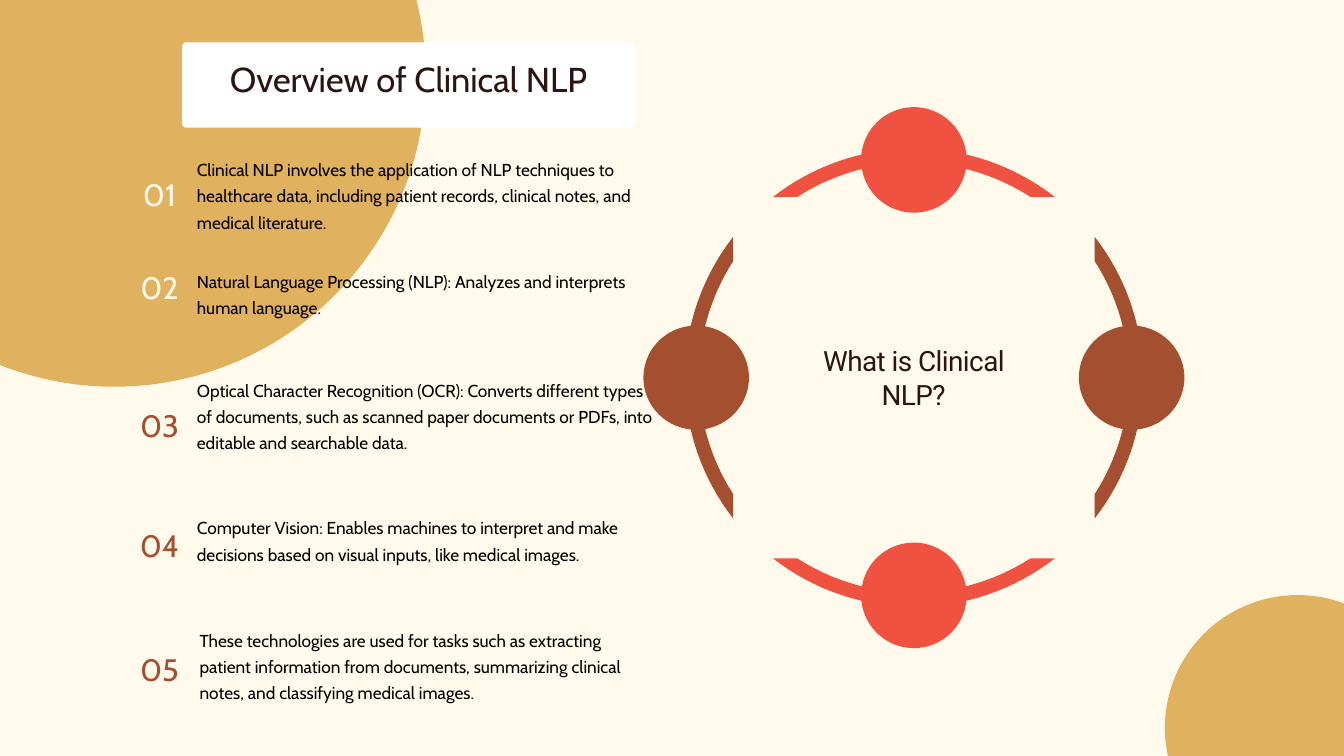
from math import acos, cos, pi, sin

from pptx import Presentation
from pptx.dml.color import RGBColor
from pptx.enum.shapes import MSO_SHAPE as SHAPE
from pptx.enum.text import MSO_ANCHOR as ANCHOR, PP_ALIGN as ALIGN
from pptx.util import Inches, Pt

CREAM, GOLD, RED, BROWN = "FFFAEB", "E0B15E", "EF5241", "A44F30"
WHITE, DARK, BLACK = "FFFFFF", "2B1511", "000000"

CX, CY = 13.6, 5.62
OUTER, INNER, CUT = 3.41, 3.2, 2.69
ORBIT = 3.24

ITEMS = [
    ("01", 2.46, CREAM, 2.93, 2.29, 1.12,
     "Clinical NLP involves the application of NLP techniques to healthcare data, "
     "including patient records, clinical notes, and medical literature."),
    ("02", 3.85, CREAM, 2.93, 3.95, 0.74,
     "Natural Language Processing (NLP): Analyzes and interprets human language."),
    ("03", 5.9, BROWN, 2.93, 5.57, 1.51,
     "Optical Character Recognition (OCR): Converts different types of documents, "
     "such as scanned paper documents or PDFs, into editable and searchable data."),
    ("04", 7.68, BROWN, 2.93, 7.62, 1.12,
     "Computer Vision: Enables machines to interpret and make decisions based on "
     "visual inputs, like medical images."),
    ("05", 9.53, BROWN, 2.97, 9.29, 1.51,
     "These technologies are used for tasks such as extracting patient information "
     "from documents, summarizing clinical notes, and classifying medical images."),
]


def color(value):
    return RGBColor.from_string(value)


def write(tf, text, size=18.5, font="Cabin", fill=BLACK, align=ALIGN.LEFT, line=28.1, spacing=0):
    p = tf.paragraphs[0]
    p.alignment = align
    p.line_spacing = Pt(line)
    r = p.add_run()
    r.text = text
    r.font.size = Pt(size)
    r.font.name = font
    r.font.color.rgb = color(fill)
    if spacing:
        r.font._element.set("spc", str(round(spacing * 100)))


class Deck:
    """Holds the current slide and draws its elements in one style."""

    def __init__(self, prs):
        self.s = prs.slides.add_slide(prs.slide_layouts[6])
        bg = self.s.background.fill
        bg.solid()
        bg.fore_color.rgb = color(CREAM)

    def paint(self, sp, fill):
        sp.shadow.inherit = False
        sp.fill.solid()
        sp.fill.fore_color.rgb = color(fill)
        sp.line.fill.background()

    def circle(self, cx, cy, width, fill, height=None):
        height = height or width
        sp = self.s.shapes.add_shape(SHAPE.OVAL, Inches(cx - width / 2), Inches(cy - height / 2),
                                     Inches(width), Inches(height))
        self.paint(sp, fill)

    def card(self, x, y, w, h, fill):
        sp = self.s.shapes.add_shape(SHAPE.ROUNDED_RECTANGLE, Inches(x), Inches(y), Inches(w), Inches(h))
        sp.adjustments[0] = 0.05
        self.paint(sp, fill)

    def arc(self, middle, fill, steps=32):
        points = []
        for radius, direction in ((OUTER, 1), (INNER, -1)):
            half = acos(CUT / radius)
            for i in range(steps + 1):
                angle = middle + direction * half * (2 * i / steps - 1)
                points.append((Inches(CX + radius * cos(angle)), Inches(CY + radius * sin(angle))))
        builder = self.s.shapes.build_freeform(*points[0])
        builder.add_line_segments(points[1:], close=True)
        self.paint(builder.convert_to_shape(), fill)

    def text(self, x, y, w, h, text, inset=0, anchor=ANCHOR.TOP, **style):
        tf = self.s.shapes.add_textbox(Inches(x), Inches(y), Inches(w), Inches(h)).text_frame
        tf.word_wrap = True
        tf.vertical_anchor = anchor
        tf.margin_left = tf.margin_right = tf.margin_top = tf.margin_bottom = Inches(inset)
        write(tf, text, **style)


def main():
    prs = Presentation()
    prs.slide_width, prs.slide_height = Inches(20), Inches(11.25)
    deck = Deck(prs)

    deck.circle(1.7, 1.12, 9.27, GOLD)
    deck.card(2.71, 0.63, 6.74, 1.27, WHITE)
    deck.text(2.71, 0.35, 6.74, 1.55, "Overview of Clinical NLP", inset=0.24, anchor=ANCHOR.MIDDLE,
              size=37, fill=DARK, align=ALIGN.CENTER, line=51.8)

    for quarter, fill, height in ((3, RED, 1.57), (1, RED, 1.57), (2, BROWN, 1.55), (0, BROWN, 1.55)):
        angle = quarter * pi / 2
        deck.circle(CX + ORBIT * cos(angle), CY + ORBIT * sin(angle), 1.57, fill, height)
        deck.arc(angle, fill)

    deck.circle(19.31, 10.83, 3.95, GOLD)
    deck.text(12.23, 5.1, 2.73, 1.02, "What is Clinical NLP?", size=29.9, font="Roboto", fill=DARK,
              align=ALIGN.CENTER, line=36.8, spacing=-0.6)

    for number, number_y, fill, x, y, h, body in ITEMS:
        deck.text(2.04, number_y, 0.67, 0.66, number, size=33.2, fill=fill, align=ALIGN.CENTER, line=50.5)
        deck.text(x, y, 6.78, h, body)

    prs.save("out.pptx")


if __name__ == "__main__":
    main()
